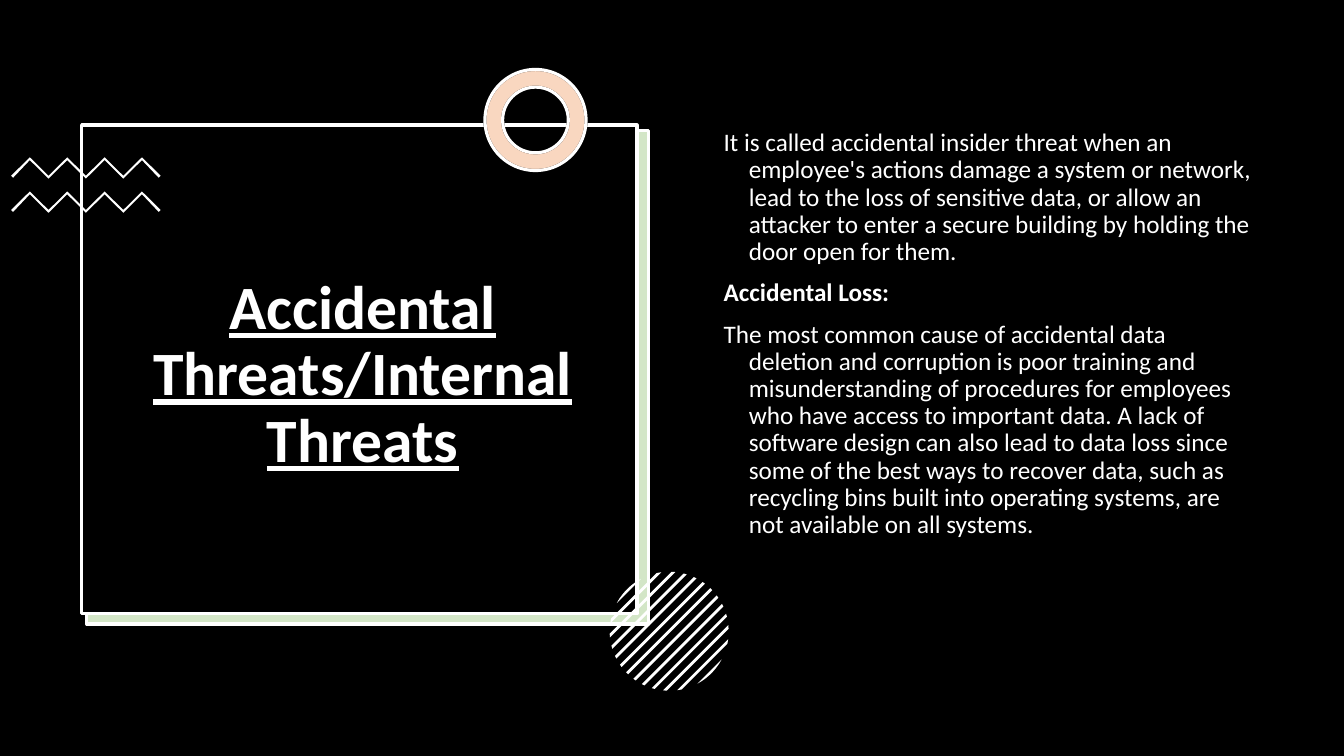
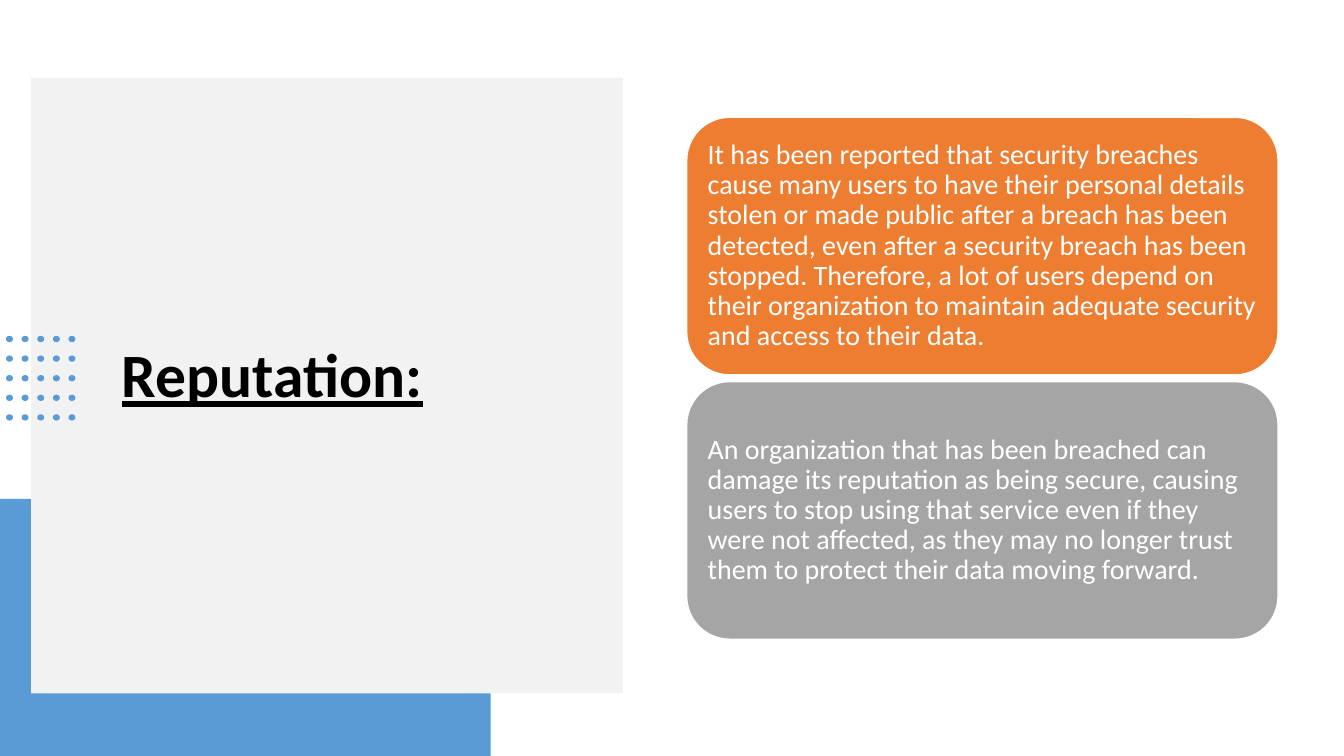
"""Build two slides on accidental threats and reputation."""
import math

import pptx
import pptx.dml.color
import pptx.enum.shapes
import pptx.enum.text
import pptx.oxml.ns
import pptx.util
from lxml import etree

Pt = pptx.util.Pt
SHAPE = pptx.enum.shapes.MSO_SHAPE
ALIGN = pptx.enum.text.PP_ALIGN
ANCHOR = pptx.enum.text.MSO_ANCHOR
qn = pptx.oxml.ns.qn

COLORS = {
    "black": "000000",
    "white": "FFFFFF",
    "green": "70AD47",
    "orange": "ED7D31",
    "blue": "5B9BD5",
    "gray": "A5A5A5",
    "panel": "F2F2F2",
}
FONT = "Calibri"
TITLE = {"size": 44, "bold": True, "underline": True}


def paint(shape, fill, line=None, width=2.25, opacity=100):
    shape.shadow.inherit = False
    shape.fill.solid()
    shape.fill.fore_color.rgb = pptx.dml.color.RGBColor.from_string(COLORS[fill])
    if opacity < 100:
        tint = shape._element.spPr.find(f"{qn('a:solidFill')}/{qn('a:srgbClr')}")
        etree.SubElement(tint, qn("a:alpha"), val=str(opacity * 1000))
    if line:
        shape.line.color.rgb = pptx.dml.color.RGBColor.from_string(COLORS[line])
        shape.line.width = Pt(width)
    else:
        shape.line.fill.background()


def write(frame, text, size=18, color="white", bold=False, underline=False,
          align=ALIGN.LEFT, anchor=ANCHOR.MIDDLE, before=0, hanging=0):
    frame.word_wrap = True
    frame.vertical_anchor = anchor
    para = frame.add_paragraph() if frame.text else frame.paragraphs[0]
    para.alignment = align
    para.line_spacing = 0.9
    para.space_before = Pt(before)
    if hanging:
        properties = para._p.get_or_add_pPr()
        properties.set("marL", str(Pt(hanging)))
        properties.set("indent", str(-Pt(hanging)))
    span = para.add_run()
    span.text = text
    span.font.name = FONT
    span.font.size = Pt(size)
    span.font.bold = bold
    span.font.underline = underline
    span.font.color.rgb = pptx.dml.color.RGBColor.from_string(COLORS[color])


deck = pptx.Presentation()
deck.slide_width, deck.slide_height = Pt(960), Pt(540)
blank = deck.slide_layouts[6]

page = deck.slides.add_slide(blank)
page.background.fill.solid()
page.background.fill.fore_color.rgb = pptx.dml.color.RGBColor.from_string(COLORS["black"])

frames = [
    ((61.2, 93.6, 401, 352.8), {"fill": "white"}),
    ((62, 93, 401, 352.8), {"fill": "green", "line": "white", "opacity": 30}),
    ((58.3, 89.3, 396.8, 349.2), {"fill": "black", "line": "white"}),
]
for place, style in frames:
    paint(page.shapes.add_shape(SHAPE.RECTANGLE, *map(Pt, place)), **style)

zigzags = page.shapes.add_group_shape()
for top in (112.4, 136.8):
    upper = [(8 + 13.35 * i, top + 13.2 * (i % 2 == 0)) for i in range(9)]
    lower = [(x, y + 2) for x, y in reversed(upper)]
    lower[0] = (lower[0][0] - 1.4, top + 14.6)
    lower[-1] = (lower[-1][0] + 1.4, top + 14.6)
    outline = [(Pt(x), Pt(y)) for x, y in upper + lower]
    builder = zigzags.shapes.build_freeform(*outline[0])
    builder.add_line_segments(outline[1:])
    paint(builder.convert_to_shape(), "white")

for style in ({"fill": "white", "line": "black"},
              {"fill": "orange", "line": "white", "opacity": 30}):
    ring = page.shapes.add_shape(SHAPE.DONUT, Pt(346.4), Pt(49.6), Pt(72.2), Pt(72.2))
    ring.adjustments[0] = 0.175
    paint(ring, **style)

center_x, center_y, radius = 478, 450.9, 42.5
stripes = page.shapes.add_group_shape()
for i in range(-6, 7):
    offsets = [max(-radius, min(radius, 6.95 * i + step / 4)) for step in range(-4, 5)]
    angles = [math.acos(offset / radius) for offset in offsets]
    angles += [-angle for angle in reversed(angles)]
    outline = [(Pt(center_x + radius * math.cos(angle + math.pi / 4)),
                Pt(center_y + radius * math.sin(angle + math.pi / 4))) for angle in angles]
    builder = stripes.shapes.build_freeform(*outline[0])
    builder.add_line_segments(outline[1:])
    paint(builder.convert_to_shape(), "white")

title = page.shapes.add_textbox(Pt(66.2), Pt(109.4), Pt(386), Pt(318.2))
write(title.text_frame, "Accidental Threats/Internal Threats", align=ALIGN.CENTER, **TITLE)

body = page.shapes.add_textbox(Pt(509.8), Pt(89.3), Pt(391.7), Pt(342.7))
paragraphs = [
    ("It is called accidental insider threat when an employee's actions damage a system "
     "or network, lead to the loss of sensitive data, or allow an attacker to enter a "
     "secure building by holding the door open for them.", False),
    ("Accidental Loss:", True),
    ("The most common cause of accidental data deletion and corruption is poor training "
     "and misunderstanding of procedures for employees who have access to important data. "
     "A lack of software design can also lead to data loss since some of the best ways to "
     "recover data, such as recycling bins built into operating systems, are not available "
     "on all systems.", False),
]
for text, bold in paragraphs:
    write(body.text_frame, text, bold=bold, anchor=ANCHOR.TOP, before=10, hanging=18)

page = deck.slides.add_slide(blank)
for place, fill in (((0, 356.4, 350.6, 183.6), "blue"), ((22.3, 55.4, 422.6, 439.9), "panel")):
    paint(page.shapes.add_shape(SHAPE.RECTANGLE, *map(Pt, place)), fill)

title = page.shapes.add_textbox(Pt(79.9), Pt(105.8), Pt(330.5), Pt(328.3))
write(title.text_frame, "Reputation:", color="black", **TITLE)

dots = page.shapes.add_group_shape()
for column in range(5):
    for row in range(5):
        place = (4.3 + 11.16 * column, 239.9 + 14 * row, 5, 4.5)
        paint(dots.shapes.add_shape(SHAPE.OVAL, *map(Pt, place)), "blue")

cards = [
    ("orange", "It has been reported that security breaches cause many users to have their "
     "personal details stolen or made public after a breach has been detected, even after a "
     "security breach has been stopped. Therefore, a lot of users depend on their "
     "organization to maintain adequate security and access to their data."),
    ("gray", "An organization that has been breached can damage its reputation as being "
     "secure, causing users to stop using that service even if they were not affected, as "
     "they may no longer trust them to protect their data moving forward."),
]
for i, (fill, text) in enumerate(cards):
    card = page.shapes.add_shape(
        SHAPE.ROUNDED_RECTANGLE, Pt(490.5), Pt(83.8 + 188.8 * i), Pt(422.4), Pt(184))
    paint(card, fill, line="white", width=1)
    frame = card.text_frame
    frame.margin_left = frame.margin_right = frame.margin_top = frame.margin_bottom = Pt(6)
    write(frame, text, size=20)

deck.save("out.pptx")
